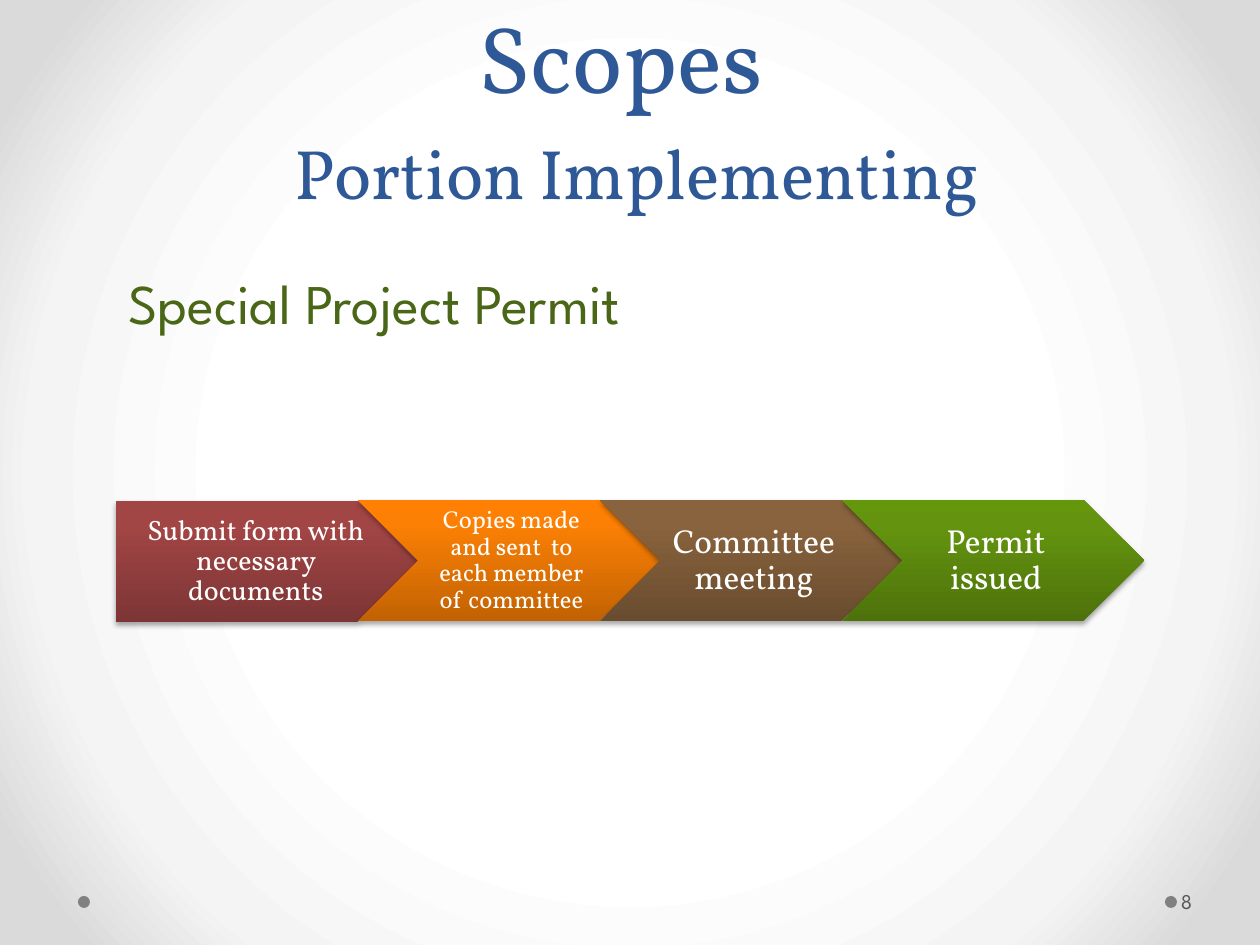
from dataclasses import dataclass

from lxml import etree
from pptx import Presentation
from pptx.dml.color import RGBColor
from pptx.enum.shapes import MSO_SHAPE
from pptx.enum.text import MSO_ANCHOR, MSO_AUTO_SIZE, PP_ALIGN
from pptx.oxml.ns import qn
from pptx.util import Emu, Pt

CENTER, LEFT = PP_ALIGN.CENTER, PP_ALIGN.LEFT
TOP, MIDDLE, BOTTOM = MSO_ANCHOR.TOP, MSO_ANCHOR.MIDDLE, MSO_ANCHOR.BOTTOM
NO_FIT = MSO_AUTO_SIZE.NONE
ELLIPSE = MSO_SHAPE.OVAL
PENTAGON, CHEVRON = MSO_SHAPE.PENTAGON, MSO_SHAPE.CHEVRON

SCALE = 914400 / 126
TITLE_ONLY = 5


@dataclass(frozen=True)
class Theme:
    serif: str = "Vollkorn"
    sans: str = "League Spartan"
    title: str = "2F5897"
    subject: str = "4A6717"
    number: str = "595959"
    dot: str = "808080"
    white: str = "FFFFFF"
    title_size: int = 54
    subtitle_size: int = 40
    subject_size: int = 32
    number_size: int = 12
    backdrop: tuple = ((50, "FFFFFF"), (76, "F4F4F4"), (92, "DADADA"))
    red: tuple = ((0, "7D3535"), (80, "A24545"), (100, "A44343"))
    orange: tuple = ((0, "C26203"), (80, "FB8004"), (100, "FF8002"))
    brown: tuple = ((0, "694C2F"), (80, "89633D"), (100, "8B633C"))
    green: tuple = ((0, "4D720B"), (80, "64940F"), (100, "65970C"))


def px(n):
    return Emu(round(n * SCALE))


def add(parent, tag, **attrs):
    return etree.SubElement(parent, qn(tag), {k: str(v) for k, v in attrs.items()})


def write(tf, runs, *, font, color, align=LEFT, anchor=TOP, wrap=True,
          insets=None, spacing=None):
    tf.auto_size = NO_FIT
    tf.word_wrap = wrap
    tf.vertical_anchor = anchor
    if insets:
        tf.margin_left, tf.margin_top, tf.margin_right, tf.margin_bottom = map(px, insets)
    p = tf.paragraphs[0]
    p.alignment = align
    if spacing:
        p.line_spacing = spacing
    for i, (text, size) in enumerate(runs):
        if i:
            p.add_line_break()
        r = p.add_run()
        r.text = text
        r.font.name = font
        r.font.size = Pt(size)
        r.font.color.rgb = RGBColor.from_string(color)


def gradient(fill, element, stops, radial=False):
    fill.gradient()
    grad = next(element.iter(qn("a:gradFill")))
    for child in list(grad):
        grad.remove(child)
    gs_list = add(grad, "a:gsLst")
    for position, color in stops:
        add(add(gs_list, "a:gs", pos=position * 1000), "a:srgbClr", val=color)
    if radial:
        path = add(grad, "a:path", path="circle")
        add(path, "a:fillToRect", l=50000, t=50000, r=50000, b=50000)
    else:
        add(grad, "a:lin", ang=270 * 60000, scaled=0)


def drop_shadow(sp):
    sp.shadow.inherit = False
    effects = sp._element.spPr.find(qn("a:effectLst"))
    outer = add(effects, "a:outerShdw", blurRad=Pt(3.1), dist=Pt(1.8),
                dir=90 * 60000, rotWithShape=0)
    add(add(outer, "a:srgbClr", val="000000"), "a:alpha", val=35000)


class Deck:
    def __init__(self, theme):
        self.theme = theme
        self.prs = Presentation()
        self.prs.slide_width, self.prs.slide_height = px(1260), px(945)
        self.s = self.prs.slides.add_slide(self.prs.slide_layouts[TITLE_ONLY])

    def background(self, stops):
        gradient(self.s.background.fill, self.s._element, stops, radial=True)

    def title(self, box, runs):
        sp = self.s.shapes.title
        sp.left, sp.top, sp.width, sp.height = map(px, box)
        write(sp.text_frame, runs, font=self.theme.serif, color=self.theme.title,
              align=CENTER, anchor=BOTTOM, spacing=Pt(58))

    def text(self, box, text, size, color, **fmt):
        sp = self.s.shapes.add_textbox(*map(px, box))
        write(sp.text_frame, [(text, size)], font=self.theme.sans, color=color, **fmt)

    def shape(self, kind, box):
        sp = self.s.shapes.add_shape(kind, *map(px, box))
        sp.shadow.inherit = False
        sp.line.fill.background()
        return sp

    def dot(self, box):
        sp = self.shape(ELLIPSE, box)
        sp.fill.solid()
        sp.fill.fore_color.rgb = RGBColor.from_string(self.theme.dot)

    def step(self, kind, box, text, size, stops, insets):
        sp = self.shape(kind, box)
        gradient(sp.fill, sp._element, stops)
        drop_shadow(sp)
        write(sp.text_frame, [(text, size)], font=self.theme.serif,
              color=self.theme.white, align=CENTER, anchor=MIDDLE,
              insets=insets, spacing=0.9)


def main():
    theme = Theme()
    deck = Deck(theme)
    deck.background(theme.backdrop)
    for x in (1165, 78):
        deck.dot((x, 896, 12, 12))
    deck.title((63, 0, 1134, 220), [("Scopes ", theme.title_size),
                                    (" Portion Implementing", theme.subtitle_size)])
    deck.text((116, 262, 621, 81), "Special Project Permit",
              theme.subject_size, theme.subject, wrap=False)
    steps = [
        (PENTAGON, 501, "Submit form with necessary documents", 16, theme.red, (11, 6, 3, 6)),
        (CHEVRON, 500, "Copies made and sent  to each member of committee", 14,
         theme.orange, (8, 5, 3, 5)),
        (CHEVRON, 500, "Committee meeting", 19, theme.brown, (10, 8, 4, 8)),
        (CHEVRON, 500, "Permit issued", 19, theme.green, (10, 8, 4, 8)),
    ]
    for i, (kind, top, text, size, stops, insets) in enumerate(steps):
        deck.step(kind, (116 + 242 * i, top, 302, 121), text, size, stops, insets)
    deck.text((1177, 876, 77, 50), "8", theme.number_size, theme.number,
              anchor=MIDDLE, insets=(4, 6, 6, 6))
    deck.prs.save("out.pptx")


main()
